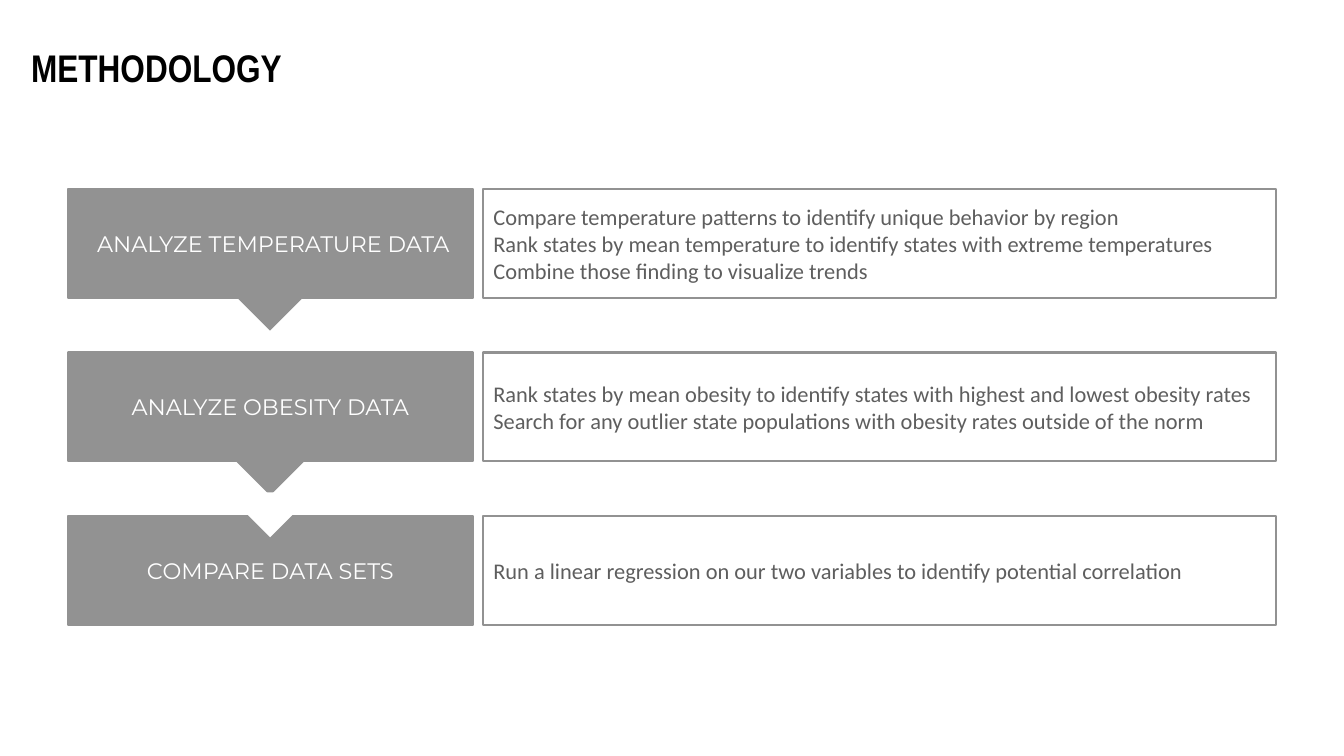
from pptx import Presentation
from pptx import util as u
from pptx.dml.color import RGBColor
from pptx.enum import shapes, text

Inches = u.Inches
COLORS = {"white": "FFFFFF", "grey": "929292", "body": "5E5E5E", "title": "000000"}

presentation = Presentation()
presentation.slide_width = Inches(26.67)
presentation.slide_height = Inches(15)
slide = presentation.slides.add_slide(presentation.slide_layouts[6])


def add_box(left, top, width, height, fill, lines, font, size, color,
            line=None, align=text.PP_ALIGN.LEFT, inset=0, bold=False):
    """Add a rectangle with one paragraph per line of text."""
    shape = slide.shapes.add_shape(
        shapes.MSO_SHAPE.RECTANGLE, Inches(left), Inches(top), Inches(width), Inches(height))
    shape.shadow.inherit = False
    shape.fill.solid()
    shape.fill.fore_color.rgb = RGBColor.from_string(COLORS[fill])
    if line:
        shape.line.color.rgb = RGBColor.from_string(COLORS[line])
        shape.line.width = u.Pt(3)
    else:
        shape.line.fill.background()
    frame = shape.text_frame
    frame.word_wrap = True
    frame.vertical_anchor = text.MSO_ANCHOR.MIDDLE
    frame.margin_left = Inches(inset)
    frame.margin_right = frame.margin_top = frame.margin_bottom = 0
    for index, words in enumerate(lines):
        paragraph = frame.add_paragraph() if index else frame.paragraphs[0]
        paragraph.alignment = align
        run = paragraph.add_run()
        run.text = words
        run.font.name = font
        run.font.size = u.Pt(size)
        run.font.bold = bold
        run.font.color.rgb = RGBColor.from_string(COLORS[color])


def add_pointer(top, fill):
    """Add a downward triangle centred on the step column."""
    center, half_width, depth = 5.36, 0.89, 0.89
    builder = slide.shapes.build_freeform(Inches(center - half_width), Inches(top))
    builder.add_line_segments([
        (Inches(center), Inches(top + depth)), (Inches(center + half_width), Inches(top))])
    shape = builder.convert_to_shape()
    shape.shadow.inherit = False
    shape.fill.solid()
    shape.fill.fore_color.rgb = RGBColor.from_string(COLORS[fill])
    shape.line.fill.background()


add_box(0.56, 0.83, 12.13, 0.99, "white", ["METHODOLOGY"],
        "Arial Narrow", 55, "title", inset=0.06, bold=True)

# Step name, its left inset, details, and the pointer's top and colour
steps = [
    ("ANALYZE TEMPERATURE DATA", 0.12,
     ["Compare temperature patterns to identify unique behavior by region",
      "Rank states by mean temperature to identify states with extreme temperatures",
      "Combine those finding to visualize trends"], 5.67, "grey"),
    ("ANALYZE OBESITY DATA", 0,
     ["Rank states by mean obesity to identify states with highest and lowest obesity rates",
      "Search for any outlier state populations with obesity rates outside of the norm"],
     8.94, "grey"),
    ("COMPARE DATA SETS", 0,
     ["Run a linear regression on our two variables to identify potential correlation"],
     9.77, "white"),
]
first_top, pitch, height = 3.75, 3.245, 2.16

for row, (name, inset, details, pointer_top, pointer_fill) in enumerate(steps):
    top = first_top + row * pitch
    add_box(9.59, top, 15.73, height, "white", details,
            "Calibri", 32, "body", line="grey", inset=0.2)
    add_box(1.35, top, 8.03, height, "grey", [name],
            "Montserrat", 32, "white", line="grey", align=text.PP_ALIGN.CENTER, inset=inset)
    add_pointer(pointer_top, pointer_fill)

presentation.save("out.pptx")
